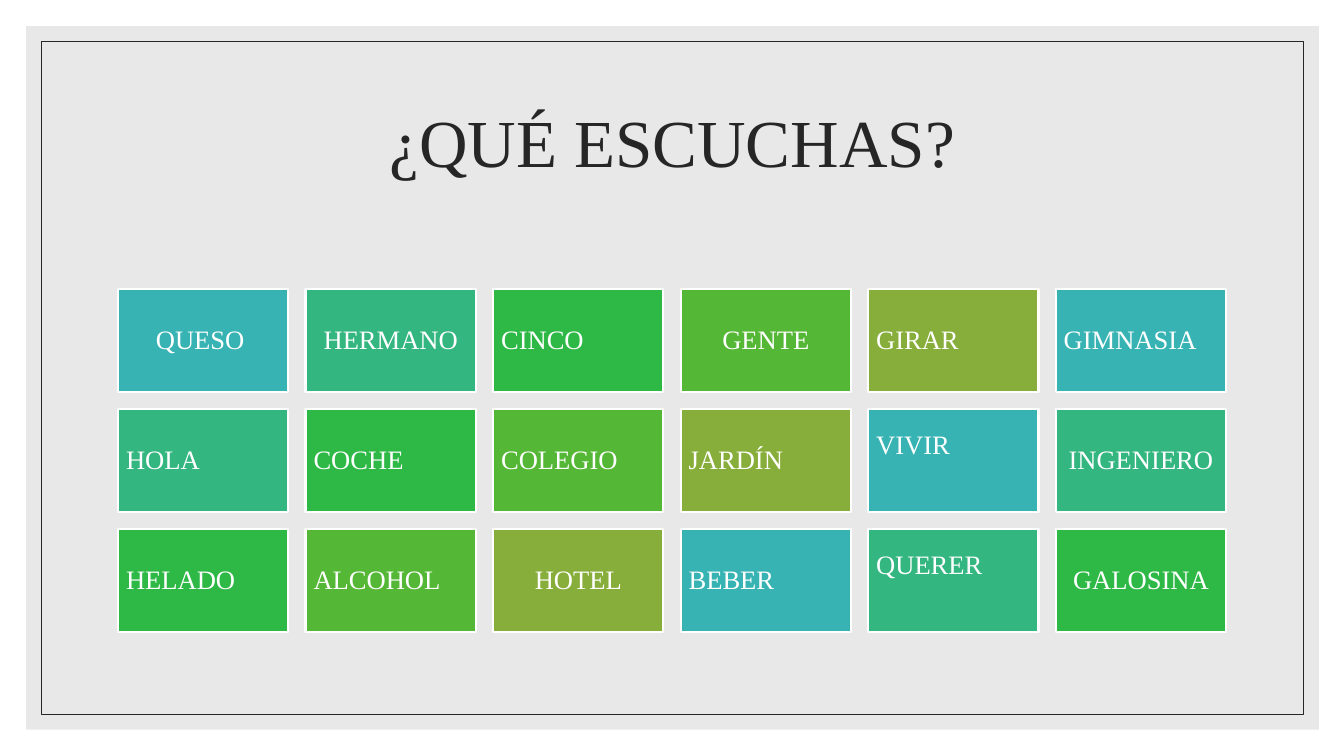
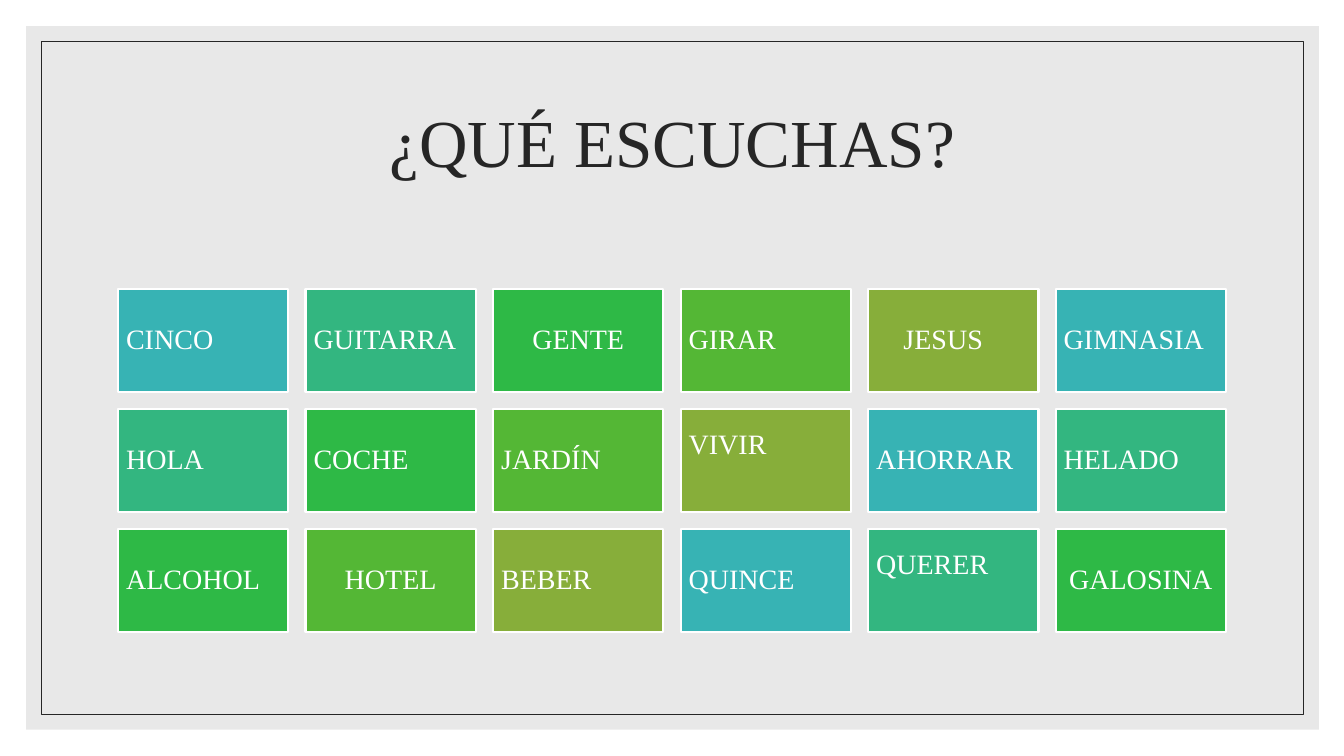
"""Build two Spanish listening bingo slides with a shared frame and word grid."""
import lxml.etree
import pptx
import pptx.dml.color
import pptx.enum.shapes
import pptx.enum.text
import pptx.oxml.ns
import pptx.util

EMU_PER_PX = 9144
FONT = "Times New Roman"
WHITE, PANEL, INK = "FFFFFF", "D9D9D9", "262626"
TILE_COLORS = ["37B3B4", "33B680", "2EB946", "54B735", "87AE3A"]
TITLE = "¿QUÉ ESCUCHAS?"

GRID_LEFT, GRID_TOP, COLUMNS = 117, 287, 6
TILE_WIDTH, TILE_HEIGHT, GAP, INSET = 169, 102, 17, 8

CENTERED = {"QUESO", "HERMANO", "GENTE", "INGENIERO", "HOTEL", "JESUS", "GALOSINA"}
EXTRA_RIGHT = {"QUESO": 6, "JESUS": 20}
EXTRA_BOTTOM = {"VIVIR": 30, "QUERER": 30}

BOARDS = [
    (19, ["QUESO", "HERMANO", "CINCO", "GENTE", "GIRAR", "GIMNASIA",
          "HOLA", "COCHE", "COLEGIO", "JARDÍN", "VIVIR", "INGENIERO",
          "HELADO", "ALCOHOL", "HOTEL", "BEBER", "QUERER", "GALOSINA"]),
    (20, ["CINCO", "GUITARRA", "GENTE", "GIRAR", "JESUS", "GIMNASIA",
          "HOLA", "COCHE", "JARDÍN", "VIVIR", "AHORRAR", "HELADO",
          "ALCOHOL", "HOTEL", "BEBER", "QUINCE", "QUERER", "GALOSINA"]),
]


def px(length):
    """Turn a length in px into EMU."""
    return pptx.util.Emu(length * EMU_PER_PX)


def color(value):
    """Turn a hex string into a colour."""
    return pptx.dml.color.RGBColor.from_string(value)


def add_box(slide, left, top, width, height, fill=None, line=None, line_width=0.5):
    """Add a rectangle with an optional fill and outline."""
    box = slide.shapes.add_shape(pptx.enum.shapes.MSO_SHAPE.RECTANGLE,
                                 px(left), px(top), px(width), px(height))
    box.shadow.inherit = False
    if fill:
        box.fill.solid()
        box.fill.fore_color.rgb = color(fill)
    else:
        box.fill.background()
    if line:
        box.line.color.rgb = color(line)
        box.line.width = pptx.util.Pt(line_width)
    else:
        box.line.fill.background()
    return box


def set_opacity(box, percent):
    """Make the solid fill of a box partly transparent."""
    fill_color = box.element.spPr.find(".//" + pptx.oxml.ns.qn("a:srgbClr"))
    alpha = lxml.etree.SubElement(fill_color, pptx.oxml.ns.qn("a:alpha"))
    alpha.set("val", str(percent * 1000))


def write_line(frame, text, size, ink, alignment):
    """Write one formatted paragraph in the middle of a text frame."""
    frame.word_wrap = True
    frame.vertical_anchor = pptx.enum.text.MSO_ANCHOR.MIDDLE
    frame.text = text
    para = frame.paragraphs[0]
    para.alignment = alignment
    para.line_spacing = 0.9
    para.font.name = FONT
    para.font.size = pptx.util.Pt(size)
    para.font.color.rgb = color(ink)


def style_layout(layout, slide):
    """Place the title and move the shared frame from a slide to its layout."""
    title = layout.placeholders[0]
    title.left, title.top = px(117), px(70)
    title.width, title.height = px(1100), px(150)
    backdrop = add_box(slide, 0, 0, 1333, 750, fill=WHITE)
    panel = add_box(slide, 26, 26, 1282, 698, fill=PANEL)
    set_opacity(panel, 60)
    border = add_box(slide, 41, 41, 1252, 668, line=INK)
    for index, box in enumerate([backdrop, panel, border]):
        box.element.nvSpPr.cNvPr.set("id", str(20 + index))
        layout.shapes.element.insert(2 + index, box.element)


def add_tile(slide, index, word, size):
    """Add one word tile at its place in the grid."""
    row, column = divmod(index, COLUMNS)
    tile = add_box(slide, GRID_LEFT + column * (TILE_WIDTH + GAP),
                   GRID_TOP + row * (TILE_HEIGHT + GAP), TILE_WIDTH, TILE_HEIGHT,
                   fill=TILE_COLORS[index % len(TILE_COLORS)], line=WHITE, line_width=1.5)
    frame = tile.text_frame
    frame.margin_left = frame.margin_top = px(INSET)
    frame.margin_right = px(INSET + EXTRA_RIGHT.get(word, 0))
    frame.margin_bottom = px(INSET + EXTRA_BOTTOM.get(word, 0))
    align = pptx.enum.text.PP_ALIGN
    write_line(frame, word, size, WHITE, align.CENTER if word in CENTERED else align.LEFT)


def fill_slide(slide, size, words):
    """Write the title and the grid of words on a slide."""
    write_line(slide.shapes.title.text_frame, TITLE, 48, INK, pptx.enum.text.PP_ALIGN.CENTER)
    for index, word in enumerate(words):
        add_tile(slide, index, word, size)


def main():
    """Build and save the deck."""
    deck = pptx.Presentation()
    deck.slide_width, deck.slide_height = px(1333), px(750)
    layout = deck.slide_layouts[5]
    slides = [deck.slides.add_slide(layout) for _ in BOARDS]
    style_layout(layout, slides[0])
    for slide, (size, words) in zip(slides, BOARDS):
        fill_slide(slide, size, words)
    deck.save("out.pptx")


if __name__ == "__main__":
    main()
